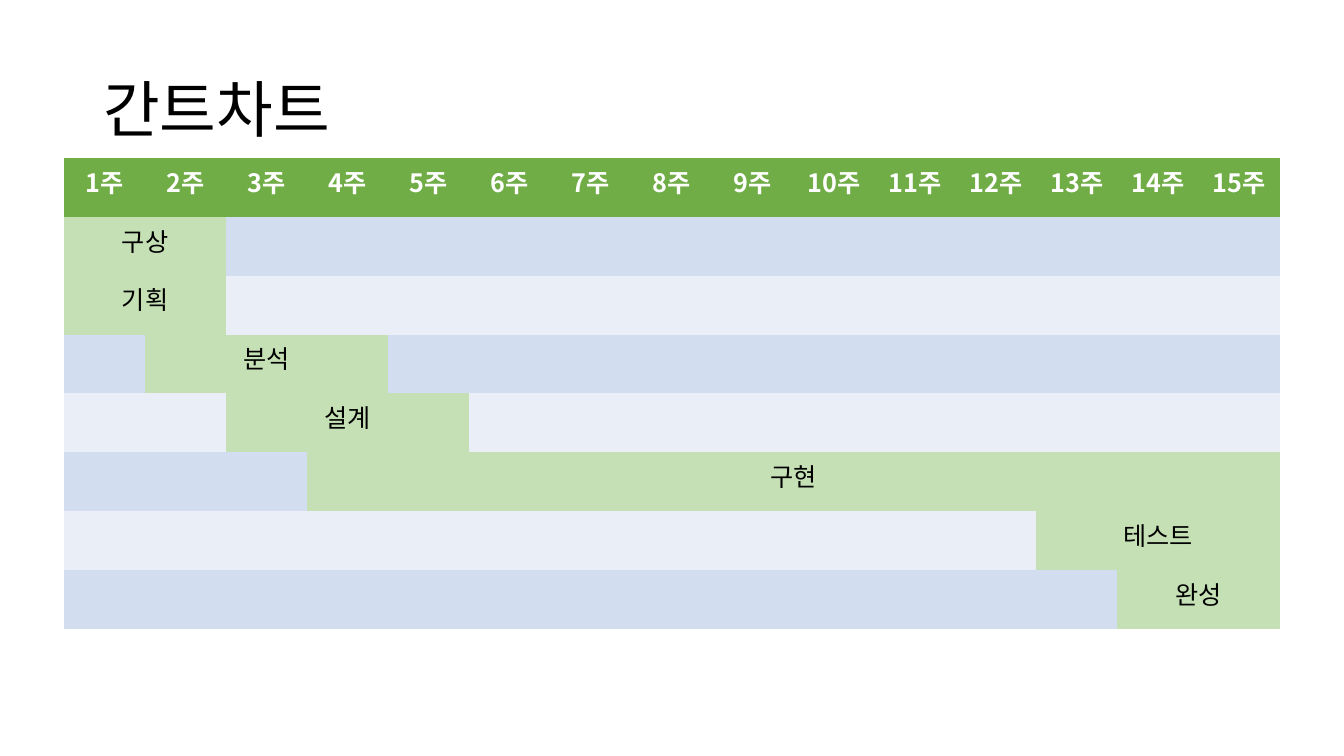
"""Build a one-slide Gantt chart covering a fifteen-week project."""
from lxml import etree
from pptx import Presentation
from pptx.dml.color import RGBColor
from pptx.enum.text import MSO_ANCHOR, MSO_AUTO_SIZE, PP_ALIGN
from pptx.oxml.ns import qn
from pptx.util import Pt

LEFT, CENTER = PP_ALIGN.LEFT, PP_ALIGN.CENTER
MIDDLE, NO_FIT = MSO_ANCHOR.MIDDLE, MSO_AUTO_SIZE.NONE
FONT = "Noto Sans CJK KR"
PLAIN_STYLE = "{2D5ABB26-0587-4C30-8999-92F81FD0307C}"
TITLE_ONLY = 5
COLORS = {
    "text": "000000",
    "header_text": "FFFFFF",
    "header": "70AD47",
    "task": "C5E0B4",
    "odd_row": "D2DEEF",
    "even_row": "EAEFF7",
}
WEEKS = 15
TASKS = [
    ("구상", 1, 2),
    ("기획", 1, 2),
    ("분석", 2, 4),
    ("설계", 3, 5),
    ("구현", 4, 15),
    ("테스트", 13, 15),
    ("완성", 14, 15),
]


def px(n):
    return round(n * 12192000 / 1344)


def write(tf, text, size, color, align, bold=False):
    p = tf.paragraphs[0]
    p.alignment = align
    r = p.add_run()
    r.text = text
    r.font.size = Pt(size)
    r.font.bold = bold
    r.font.name = FONT
    r.font.color.rgb = RGBColor.from_string(COLORS[color])
    ea = etree.SubElement(r.font._element, qn("a:ea"))
    ea.set("typeface", FONT)


prs = Presentation()
prs.slide_width, prs.slide_height = px(1344), px(756)
s = prs.slides.add_slide(prs.slide_layouts[TITLE_ONLY])

title = s.shapes.title
title.left, title.top, title.width, title.height = px(93), px(40), px(1159), px(146)
tf = title.text_frame
tf.auto_size = NO_FIT
tf.vertical_anchor = MIDDLE
write(tf, "간트차트", 44, "text", LEFT)
tf.paragraphs[0].line_spacing = 0.9

frame = s.shapes.add_table(len(TASKS) + 1, WEEKS, px(64), px(158), px(1216), px(471))
table = frame.table
table._tbl.tblPr.find(qn("a:tableStyleId")).text = PLAIN_STYLE

for row in range(len(TASKS) + 1):
    band = "odd_row" if row % 2 else "even_row"
    for col in range(WEEKS):
        cell = table.cell(row, col)
        cell.fill.solid()
        cell.fill.fore_color.rgb = RGBColor.from_string(COLORS[band if row else "header"])

for week in range(1, WEEKS + 1):
    write(table.cell(0, week - 1).text_frame, f"{week}주", 18, "header_text", CENTER, True)

for row, (name, first, last) in enumerate(TASKS, 1):
    cell = table.cell(row, first - 1)
    cell.merge(table.cell(row, last - 1))
    cell.fill.fore_color.rgb = RGBColor.from_string(COLORS["task"])
    write(cell.text_frame, name, 18, "text", CENTER)

prs.save("out.pptx")
